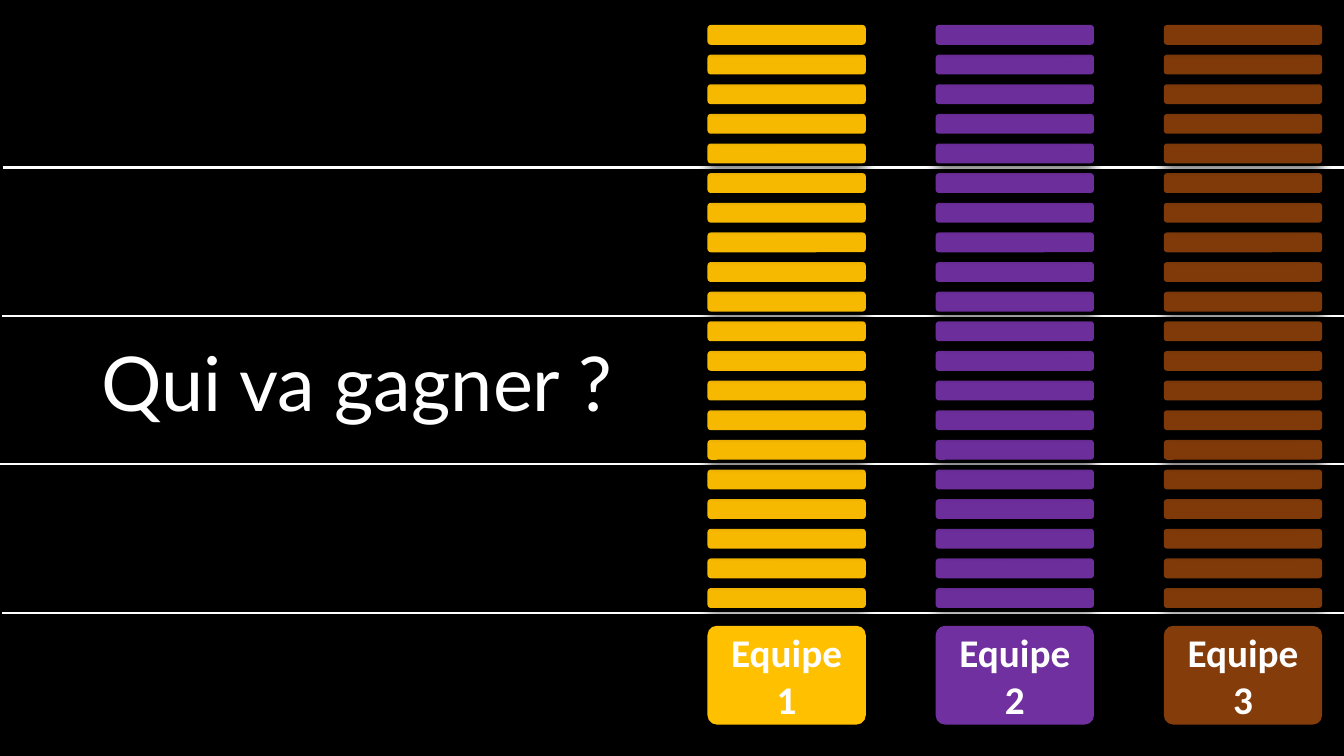
from lxml import etree
from pptx import Presentation
from pptx import util as u
from pptx.dml.color import RGBColor
from pptx.enum import shapes, text
from pptx.oxml import ns

BLACK = RGBColor(0x00, 0x00, 0x00)
WHITE = RGBColor(0xFF, 0xFF, 0xFF)
GOLD = RGBColor(0xFF, 0xC0, 0x00)
AMBER = RGBColor(0xF7, 0xB9, 0x00)
PURPLE = RGBColor(0x70, 0x30, 0xA0)
VIOLET = RGBColor(0x6C, 0x2E, 0x9B)
BROWN = RGBColor(0x84, 0x3C, 0x0B)
RUST = RGBColor(0x80, 0x3A, 0x0A)

TEAMS = [
    ("Equipe 1", GOLD, AMBER),
    ("Equipe 2", PURPLE, VIOLET),
    ("Equipe\n3", BROWN, RUST),
]
STARTS = [0.08, 0.05, 0, 0.05]
BARS = 20
TOP, LAST = 0.63, 14.82


class Board:
    title = {"size": u.Pt(54), "name": "Lato"}
    label = {"size": u.Pt(28), "name": "Calibri", "bold": True}
    glow = {"blurRad": u.Pt(8.5), "dist": u.Pt(1), "dir": 90 * 60000,
            "algn": "t", "rotWithShape": 0}

    def __init__(self, slide):
        self.slide = slide
        fill = slide.background.fill
        fill.solid()
        fill.fore_color.rgb = BLACK

    def effect(self, shape):
        return etree.SubElement(shape.element.spPr, ns.qn("a:effectLst"))

    def rule(self, left, top, width):
        line = self.slide.shapes.add_connector(
            shapes.MSO_CONNECTOR.STRAIGHT,
            u.Cm(left + width), u.Cm(top), u.Cm(left), u.Cm(top))
        line.line.color.rgb = WHITE
        line.line.width = u.Pt(1.5)
        self.effect(line)

    def block(self, left, top, width, height, color):
        shape = self.slide.shapes.add_shape(
            shapes.MSO_SHAPE.ROUNDED_RECTANGLE,
            u.Cm(left), u.Cm(top), u.Cm(width), u.Cm(height))
        shape.fill.solid()
        shape.fill.fore_color.rgb = color
        shape.line.fill.background()
        shadow = etree.SubElement(self.effect(shape), ns.qn("a:outerShdw"))
        for key, value in self.glow.items():
            shadow.set(key, str(value))
        etree.SubElement(shadow, ns.qn("a:srgbClr")).set("val", str(BLACK))
        return shape

    def letter(self, frame, words, style):
        frame.word_wrap = True
        frame.text = words
        for para in frame.paragraphs:
            para.alignment = text.PP_ALIGN.CENTER
            for run in para.runs:
                run.font.color.rgb = WHITE
                for key, value in style.items():
                    setattr(run.font, key, value)

    def team(self, left, words, color, tint):
        base = self.block(left, 15.77, 3.99, 2.49, color)
        base.adjustments[0] = 0.095
        base.text_frame.vertical_anchor = text.MSO_ANCHOR.MIDDLE
        self.letter(base.text_frame, words, self.label)
        for row in reversed(range(BARS)):
            top = TOP + row * (LAST - TOP) / (BARS - 1)
            self.block(left, top, 3.99, 0.5, tint)

    def head(self, left, top, width, height, words):
        box = self.slide.shapes.add_textbox(
            u.Cm(left), u.Cm(top), u.Cm(width), u.Cm(height))
        self.letter(box.text_frame, words, self.title)
        box.text_frame.auto_size = text.MSO_AUTO_SIZE.SHAPE_TO_FIT_TEXT


def main():
    deck = Presentation()
    deck.slide_width, deck.slide_height = u.Cm(33.87), u.Cm(19.05)
    board = Board(deck.slides.add_slide(deck.slide_layouts[6]))
    for row, left in reversed(list(enumerate(STARTS))):
        board.rule(left, 4.22 + 3.74 * row, 33.87)
    for col, team in enumerate(TEAMS):
        board.team(17.83 + 5.75 * col, *team)
    board.head(1.19, 8.33, 16.1, 2.57, "Qui va gagner ? ")
    deck.save("out.pptx")


if __name__ == "__main__":
    main()
